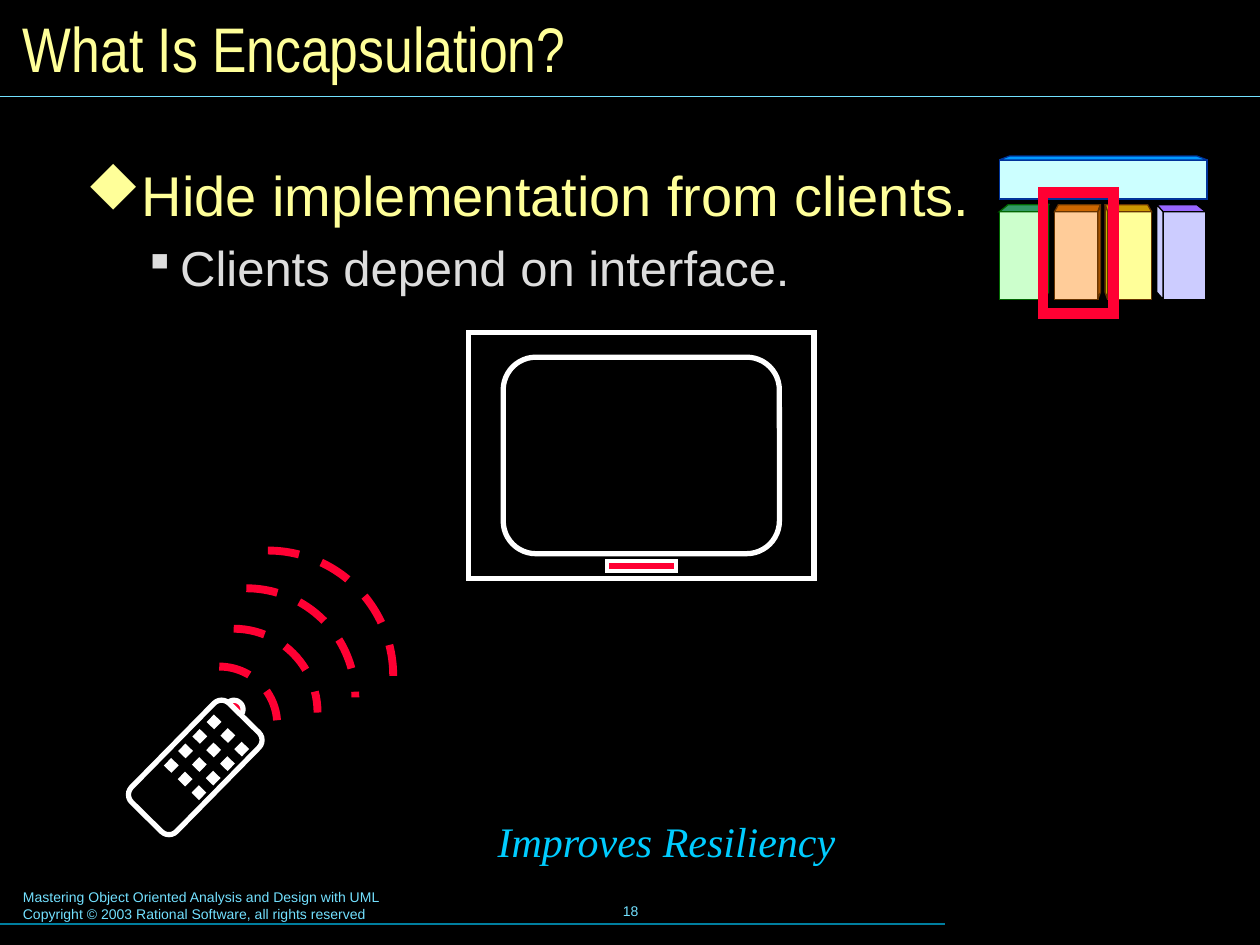
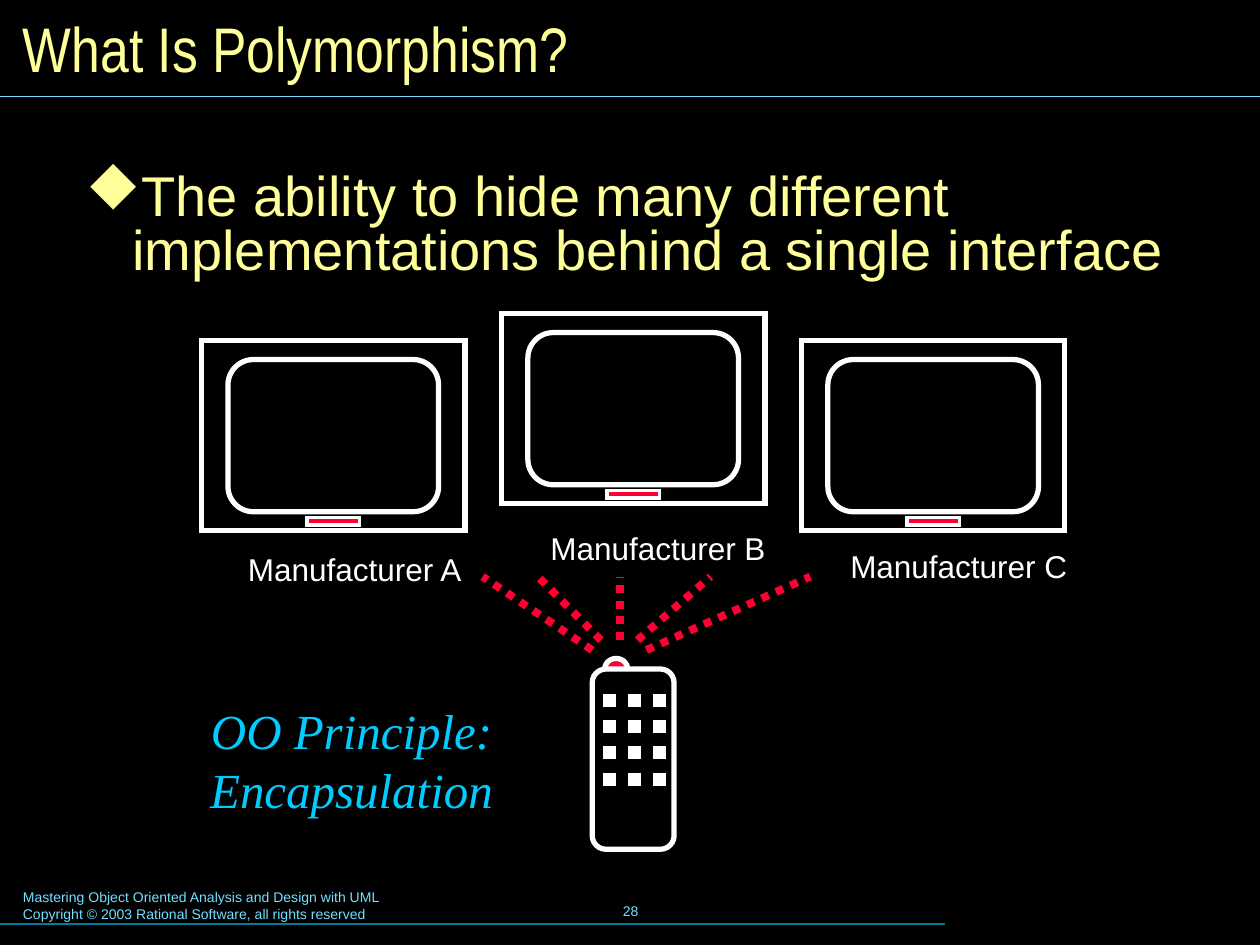
from dataclasses import dataclass
from math import cos, pi, radians, sin

from lxml.etree import SubElement
from pptx import Presentation
from pptx.dml.color import RGBColor
from pptx.enum.dml import MSO_LINE
from pptx.enum.shapes import MSO_CONNECTOR, MSO_SHAPE
from pptx.enum.text import MSO_ANCHOR, PP_ALIGN
from pptx.oxml.ns import qn
from pptx.util import Pt


@dataclass(frozen=True)
class Theme:
    back: str = "000000"
    head: str = "FFFF99"
    sub: str = "DDDDDD"
    white: str = "FFFFFF"
    red: str = "FF0033"
    note: str = "00CCFF"
    foot: str = "73E1FF"
    rule: str = "007E9F"
    sans: str = "Arial"
    slim: str = "Arial Narrow"
    serif: str = "Times New Roman"
    marks: str = "Wingdings"
    title: int = 36
    main: int = 32
    minor: int = 28
    label: int = 18
    small: int = 8


LOOK = Theme()
FOOTER = ("Mastering Object Oriented Analysis and Design with UML\n"
          "Copyright © 2003 Rational Software, all rights reserved")
POINTS = {
    0: dict(mark="u", color=LOOK.head, size=LOOK.main, left=26.64, hang=26.64, lead=0.8),
    1: dict(mark="§", color=LOOK.sub, size=LOOK.minor, left=54, hang=18, lead=0.87),
}


def rgb(code):
    return RGBColor.from_string(code)


def stroke(item, color, width, dash=None):
    item.line.color.rgb = rgb(color)
    item.line.width = Pt(width)
    if dash:
        item.line.dash_style = dash
    SubElement(item._element.spPr.find(qn("a:ln")), qn("a:miter"), lim="800000")


def paint(item, fill, edge, width, dash=None):
    item.shadow.inherit = False
    if fill:
        item.fill.solid()
        item.fill.fore_color.rgb = rgb(fill)
    else:
        item.fill.background()
    stroke(item, edge, width, dash)


def add_form(slide, kind, box, fill, edge, width, dash=None, turn=0):
    form = slide.shapes.add_shape(kind, *map(Pt, box))
    form.rotation = turn
    paint(form, fill, edge, width, dash)


def add_path(slide, dots, fill, edge, width, close=True):
    dots = [(Pt(x), Pt(y)) for x, y in dots]
    pen = slide.shapes.build_freeform(*dots[0])
    pen.add_line_segments(dots[1:], close=close)
    paint(pen.convert_to_shape(), fill, edge, width)


def add_line(slide, start, end, color, width, dash=None):
    line = slide.shapes.add_connector(MSO_CONNECTOR.STRAIGHT, *map(Pt, start + end))
    stroke(line, color, width, dash)
    SubElement(line._element.spPr, qn("a:effectLst"))


def add_frame(slide, box, pad=(7.2, 3.6), wrap=True, anchor=MSO_ANCHOR.TOP):
    frame = slide.shapes.add_textbox(*map(Pt, box)).text_frame
    frame.word_wrap = wrap
    frame.vertical_anchor = anchor
    frame.margin_left = frame.margin_right = Pt(pad[0])
    frame.margin_top = frame.margin_bottom = Pt(pad[1])
    return frame


def set_font(para, face, size, color, slant=False):
    font = para.font
    font.name = face
    font.size = Pt(size)
    font.color.rgb = rgb(color)
    font.italic = slant


def add_text(slide, text, box, face, size, color, align=PP_ALIGN.LEFT, slant=False, **frame_args):
    frame = add_frame(slide, box, **frame_args)
    frame.text = text
    for para in frame.paragraphs:
        para.alignment = align
        set_font(para, face, size, color, slant)


def add_note(slide, text, box, size):
    add_text(slide, text, box, LOOK.serif, size, LOOK.note, PP_ALIGN.CENTER,
             slant=True, pad=(8.64, 4.32))


def add_points(slide, items):
    frame = add_frame(slide, (40.32, 95.04, 668.16, 397.44), pad=(8.64, 4.32))
    for level, text in enumerate(items):
        para = frame.add_paragraph() if level else frame.paragraphs[0]
        para.text = text
        para.level = level
        style = POINTS[level]
        props = para._p.get_or_add_pPr()
        props.set("marL", str(Pt(style["left"])))
        props.set("indent", str(-Pt(style["hang"])))
        tint = SubElement(props, qn("a:buClr"))
        SubElement(tint, qn("a:srgbClr"), val=style["color"])
        SubElement(props, qn("a:buFont"), typeface=LOOK.marks, pitchFamily="2", charset="2")
        SubElement(props, qn("a:buChar"), char=style["mark"])
        para.line_spacing = style["lead"]
        if level:
            para.space_before = Pt(10.5)
        set_font(para, LOOK.sans, style["size"], style["color"])


def add_page(deck, title, number):
    slide = deck.slides.add_slide(deck.slide_layouts[6])
    slide.background.fill.solid()
    slide.background.fill.fore_color.rgb = rgb(LOOK.back)
    add_text(slide, FOOTER, (6, 504.3, 367.2, 26.64), LOOK.sans, LOOK.small, LOOK.foot)
    add_text(slide, number, (246.24, 502.56, 228.24, 36), LOOK.sans, LOOK.small, LOOK.foot,
             PP_ALIGN.CENTER, wrap=False, anchor=MSO_ANCHOR.MIDDLE)
    add_line(slide, (0, 528), (540, 528), LOOK.rule, 0.75)
    add_line(slide, (0, 55), (720, 55), LOOK.foot, 0.75)
    add_text(slide, title, (6, 6, 708.48, 41.76), LOOK.slim, LOOK.title, LOOK.head,
             anchor=MSO_ANCHOR.MIDDLE)
    return slide


def add_screen(slide, left, top, width, height):
    def part(x, y, w, h):
        return left + x * width, top + y * height, w * width, h * height

    add_form(slide, MSO_SHAPE.RECTANGLE, part(0, 0, 1, 1), None, LOOK.white, 3)
    add_form(slide, MSO_SHAPE.ROUNDED_RECTANGLE, part(0.1, 0.1, 0.8, 0.8), None, LOOK.white, 3)
    add_form(slide, MSO_SHAPE.RECTANGLE, part(0.4, 0.93, 0.2, 0.04), LOOK.red, LOOK.white, 2)


def add_remote(slide, mid_x, mid_y, scale, angle):
    tilt = radians(angle)

    def place(along, across):
        return (mid_x + scale * (along * cos(tilt) + across * sin(tilt)),
                mid_y + scale * (across * cos(tilt) - along * sin(tilt)))

    def part(kind, along, across, length, width, fill, weight):
        x, y = place(along, across)
        length, width = length * scale, width * scale
        add_form(slide, kind, (x - length / 2, y - width / 2, length, width),
                 fill, LOOK.white, weight, turn=360 - angle)

    dome = [place(51.5 + 6 * sin(pi * n / 24), -9.7 - 6.5 * cos(pi * n / 24))
            for n in range(25)]
    add_path(slide, dome, LOOK.red, LOOK.white, 3, close=False)
    part(MSO_SHAPE.ROUNDED_RECTANGLE, 0, 0, 103, 46.8, None, 3)
    for row in range(4):
        for col in range(3):
            part(MSO_SHAPE.RECTANGLE, 33.8 - 15.1 * row, 14.4 * col - 13.7,
                 6.5, 6.5, LOOK.white, 1)


def add_block(slide, far, near, inset, depth, front, lid, side, edge,
              top=121, base=171, rise=4):
    left, right = sorted((far, near))
    add_form(slide, MSO_SHAPE.RECTANGLE, (left, top, right - left, base - top),
             front, edge, 0.75)
    peak = (near + depth, top - rise)
    add_path(slide, [(far, top), (far + inset, top - rise), peak, (near, top)],
             lid, edge, 0.75)
    if side:
        add_path(slide, [peak, (near, top), (near, base), (near + depth, base - rise)],
                 side, edge, 0.75)


def add_temple(slide):
    add_block(slide, 571, 596.2, 5, 3, "CCFFCC", "339966", "00CC66", "006600")
    add_block(slide, 689, 664.6, -5, -3.6, "CCCCFF", "9966FF", "CCCCFF", "000000")
    add_block(slide, 689.8, 571, -5.8, 5.8, "CCFFFF", "0099FF", None, "003399",
              top=91.4, base=113.8, rise=2.2)
    add_block(slide, 602.6, 627.4, 2.2, 1.4, "FFCC99", "CC6600", "CC6600", "663300")
    add_block(slide, 658.1, 632.9, -2.2, -1.4, "FFFF99", "CC9900", "CCCC00", "663300")
    add_form(slide, MSO_SHAPE.RECTANGLE, (596.16, 110.16, 40.32, 69.12), None, LOOK.red, 6)


def hide_page(deck):
    slide = add_page(deck, "What Is Encapsulation?", "18")
    add_screen(slide, 267.84, 190.08, 197.28, 140.4)
    for left, top, size in ((92.2, 380.9, 66.2), (85.7, 359.3, 95.8),
                            (78.5, 336.2, 124.6), (81.4, 314.6, 143.3)):
        add_form(slide, MSO_SHAPE.ARC, (left, top, size, size), None,
                 LOOK.red, 4.5, MSO_LINE.DASH)
    add_remote(slide, 111.6, 438.5, 0.77, 45.5)
    add_note(slide, "Improves Resiliency", (216, 462, 329.76, 37.44), 24)
    add_points(slide, ["Hide implementation from clients.", "Clients depend on interface."])
    add_temple(slide)


def many_page(deck):
    slide = add_page(deck, "What Is Polymorphism?", "28")
    add_remote(slide, 361.8, 433.8, 1, 90)
    makers = (("A", 194.6, 134.64, 311), ("B", 179.2, 307.44, 298.8), ("C", 194.6, 478.8, 308.9))
    for n, (maker, top, label_x, label_y) in enumerate(makers):
        add_screen(slide, 115.2 + 171.4 * n, top, 150.48, 108.72)
        add_text(slide, f"Manufacturer {maker}", (label_x, label_y, 150, 28.8),
                 LOOK.sans, LOOK.label, LOOK.white)
    for x, y, end in ((338.4, 371.5, 275.8), (354.2, 365.8, 354.2), (369.4, 371.5, 463),
                      (343.4, 365.8, 307.4), (364.3, 365.8, 406.1)):
        add_line(slide, (x, y), (end, 329.5), LOOK.red, 4.5, MSO_LINE.ROUND_DOT)
    add_note(slide, "OO Principle:\vEncapsulation", (36, 396, 329.76, 75.6), LOOK.minor)
    add_points(slide, ["The ability to hide many different implementations "
                       "behind a single interface"])


def main():
    deck = Presentation()
    deck.slide_width, deck.slide_height = Pt(720), Pt(540)
    hide_page(deck)
    many_page(deck)
    deck.save("out.pptx")


if __name__ == "__main__":
    main()
